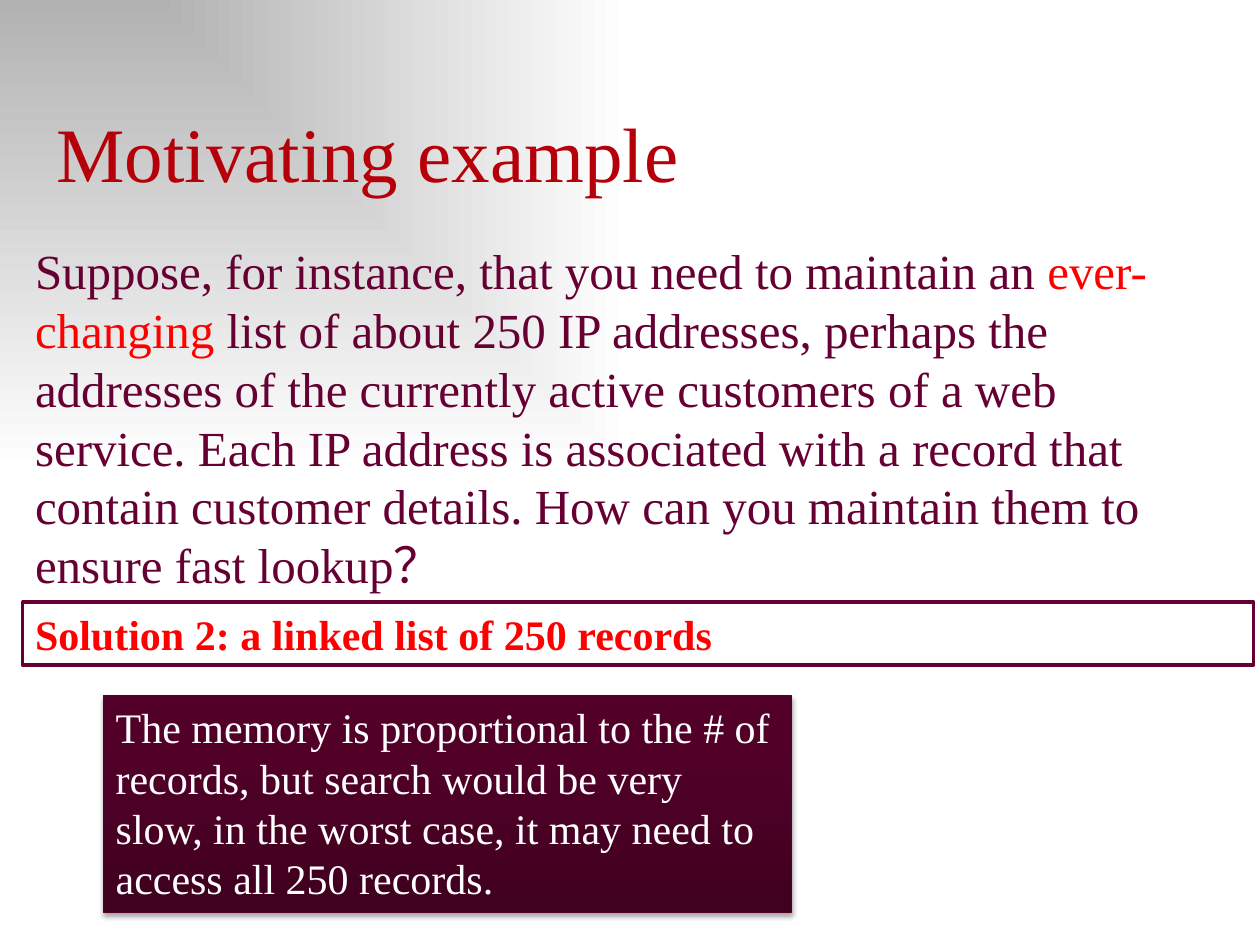
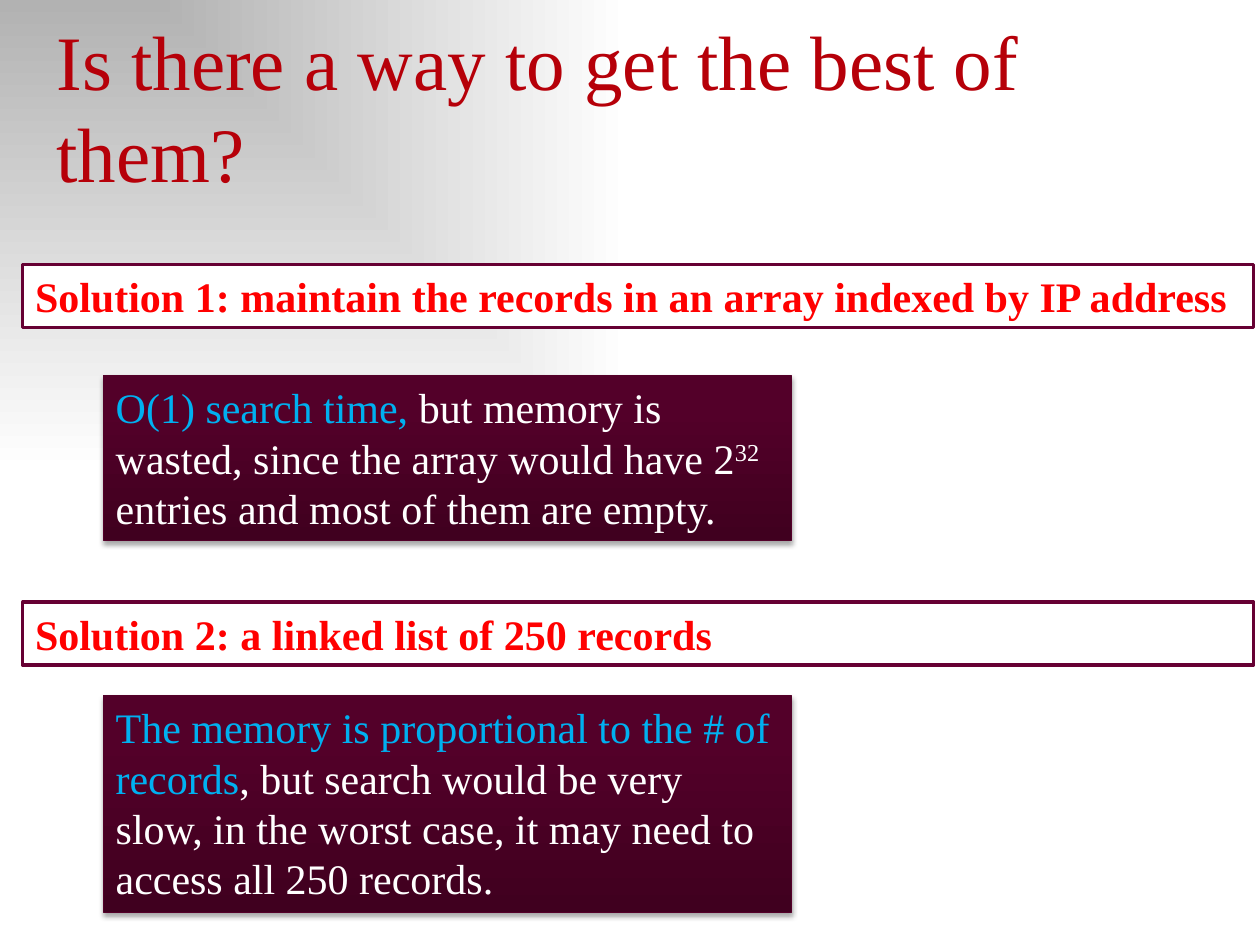
from dataclasses import dataclass

from lxml.etree import SubElement
from pptx import Presentation
from pptx.dml.color import RGBColor
from pptx.enum.shapes import MSO_SHAPE as Preset
from pptx.enum.text import MSO_ANCHOR as Anchor, MSO_AUTO_SIZE as AutoSize, PP_ALIGN as Align
from pptx.oxml.ns import qn
from pptx.util import Inches, Pt

FONT = "Times New Roman"
COLORS = {
    "title": "B60009",
    "plum": "660033",
    "red": "FF0000",
    "white": "FFFFFF",
    "sky": "00B0F0",
    "gray": "B2B2B2",
    "box_dark": "40001F",
    "box_mid": "530029",
    "box_edge": "540029",
    "shadow": "000000",
}
BACKGROUND_STOPS = ((0, "gray"), (100, "white"))
BOX_STOPS = ((0, "box_dark"), (80, "box_mid"), (100, "box_edge"))


@dataclass(frozen=True)
class Run:
    text: str
    color: str
    bold: bool = False
    superscript: bool = False


@dataclass(frozen=True)
class Area:
    left: float
    top: float
    width: float
    height: float

    def lengths(self):
        return [Inches(n) for n in (self.left, self.top, self.width, self.height)]


@dataclass(frozen=True)
class Solution:
    heading: str
    heading_top: float
    verdict: tuple[Run, ...]
    verdict_top: float
    verdict_height: float


TITLE_AREA = Area(0.35, 0.79, 9.45, 0.83)
BODY_AREA = Area(0.18, 1.86, 9.57, 2.78)

QUESTION = (
    Run("Suppose, for instance, that you need to maintain an ", "plum"),
    Run("ever-changing", "red"),
    Run(" list of about 250 IP addresses, perhaps the addresses of the currently "
        "active customers of a web service. Each IP address is associated with a "
        "record that contain customer details. How can you maintain them to ensure "
        "fast lookup？", "plum"),
)

ARRAY = Solution(
    "Solution 1: maintain the records in an array indexed by IP address", 2.1,
    (
        Run("O(1) search time,", "sky"),
        Run(" but memory is wasted, since the array would have 2", "white"),
        Run("32 ", "white", superscript=True),
        Run("entries and most of them are empty.", "white"),
    ),
    2.98, 1.31,
)


def linked_list(benefit_color: str) -> Solution:
    return Solution(
        "Solution 2: a linked list of 250 records", 4.78,
        (
            Run("The memory is proportional to the # of records", benefit_color),
            Run(", but search would be very slow, in the worst case, "
                "it may need to access all 250 records.", "white"),
        ),
        5.52, 1.72,
    )


def rgb(name: str) -> RGBColor:
    return RGBColor.from_string(COLORS[name])


def set_gradient(fill, holder, stops):
    fill.gradient()
    gradient = holder.find(qn("a:gradFill"))
    for child in list(gradient):
        gradient.remove(child)
    stop_list = SubElement(gradient, qn("a:gsLst"))
    for position, color in stops:
        stop = SubElement(stop_list, qn("a:gs"), pos=str(position * 1000))
        SubElement(stop, qn("a:srgbClr"), val=COLORS[color])
    return gradient


def paint_background(master) -> None:
    fill = master.background.fill
    holder = master.element.cSld.find(qn("p:bg")).find(qn("p:bgPr"))
    gradient = set_gradient(fill, holder, BACKGROUND_STOPS)
    focus = SubElement(gradient, qn("a:path"), path="rect")
    SubElement(focus, qn("a:fillToRect"), r="100000", b="100000")


def add_soft_shadow(shape) -> None:
    shape.shadow.inherit = False
    effects = shape.element.spPr.find(qn("a:effectLst"))
    shadow = SubElement(effects, qn("a:outerShdw"), blurRad=str(Pt(3.1)),
                        dist=str(Pt(1.8)), dir="5400000", rotWithShape="0")
    color = SubElement(shadow, qn("a:srgbClr"), val=COLORS["shadow"])
    SubElement(color, qn("a:alpha"), val="35000")


def write(shape, runs: tuple[Run, ...], size: float, anchor=Anchor.TOP) -> None:
    frame = shape.text_frame
    frame.word_wrap = True
    frame.auto_size = AutoSize.NONE
    frame.vertical_anchor = anchor
    paragraph = frame.paragraphs[0]
    paragraph.alignment = Align.LEFT
    for item in runs:
        run = paragraph.add_run()
        run.text = item.text
        run.font.name = FONT
        run.font.size = Pt(size)
        run.font.bold = item.bold
        run.font.color.rgb = rgb(item.color)
        if item.superscript:
            run.font.element.set("baseline", "30000") if hasattr(run.font, "element") \
                else run._r.get_or_add_rPr().set("baseline", "30000")


def add_box(slide, area: Area, line_color: str, line_width: float):
    shape = slide.shapes.add_shape(Preset.RECTANGLE, *area.lengths())
    shape.line.color.rgb = rgb(line_color)
    shape.line.width = Pt(line_width)
    return shape


def add_title(slide, text: str) -> None:
    title = slide.shapes.add_textbox(*TITLE_AREA.lengths())
    write(title, (Run(text, "title"),), 44, Anchor.BOTTOM)


def add_solution(slide, solution: Solution) -> None:
    heading = add_box(slide, Area(0.18, solution.heading_top, 9.77, 0.5), "plum", 2)
    heading.shadow.inherit = False
    heading.fill.solid()
    heading.fill.fore_color.rgb = rgb("white")
    write(heading, (Run(solution.heading, "red", bold=True),), 24)

    verdict_area = Area(0.82, solution.verdict_top, 5.46, solution.verdict_height)
    verdict = add_box(slide, verdict_area, "box_edge", 0.75)
    gradient = set_gradient(verdict.fill, verdict.element.spPr, BOX_STOPS)
    SubElement(gradient, qn("a:lin"), ang="16200000", scaled="0")
    add_soft_shadow(verdict)
    write(verdict, solution.verdict, 24)


def main() -> None:
    presentation = Presentation()
    presentation.slide_width = Inches(10)
    presentation.slide_height = Inches(7.5)
    paint_background(presentation.slide_master)
    blank = presentation.slide_layouts[6]

    example = presentation.slides.add_slide(blank)
    add_title(example, "Motivating example")
    body = example.shapes.add_textbox(*BODY_AREA.lengths())
    write(body, QUESTION, 28)
    add_solution(example, linked_list("white"))

    comparison = presentation.slides.add_slide(blank)
    add_title(comparison, "Is there a way to get the best of them?")
    for solution in (ARRAY, linked_list("sky")):
        add_solution(comparison, solution)

    presentation.save("out.pptx")


if __name__ == "__main__":
    main()
